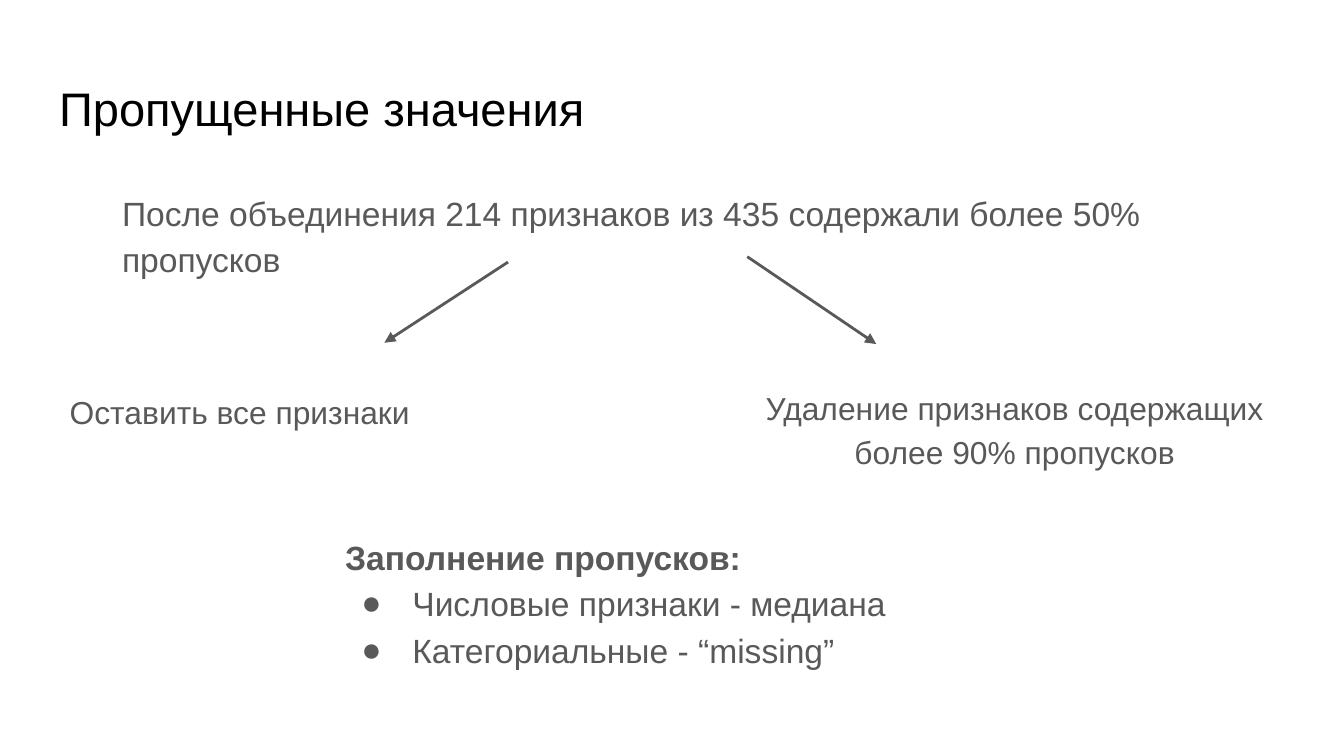
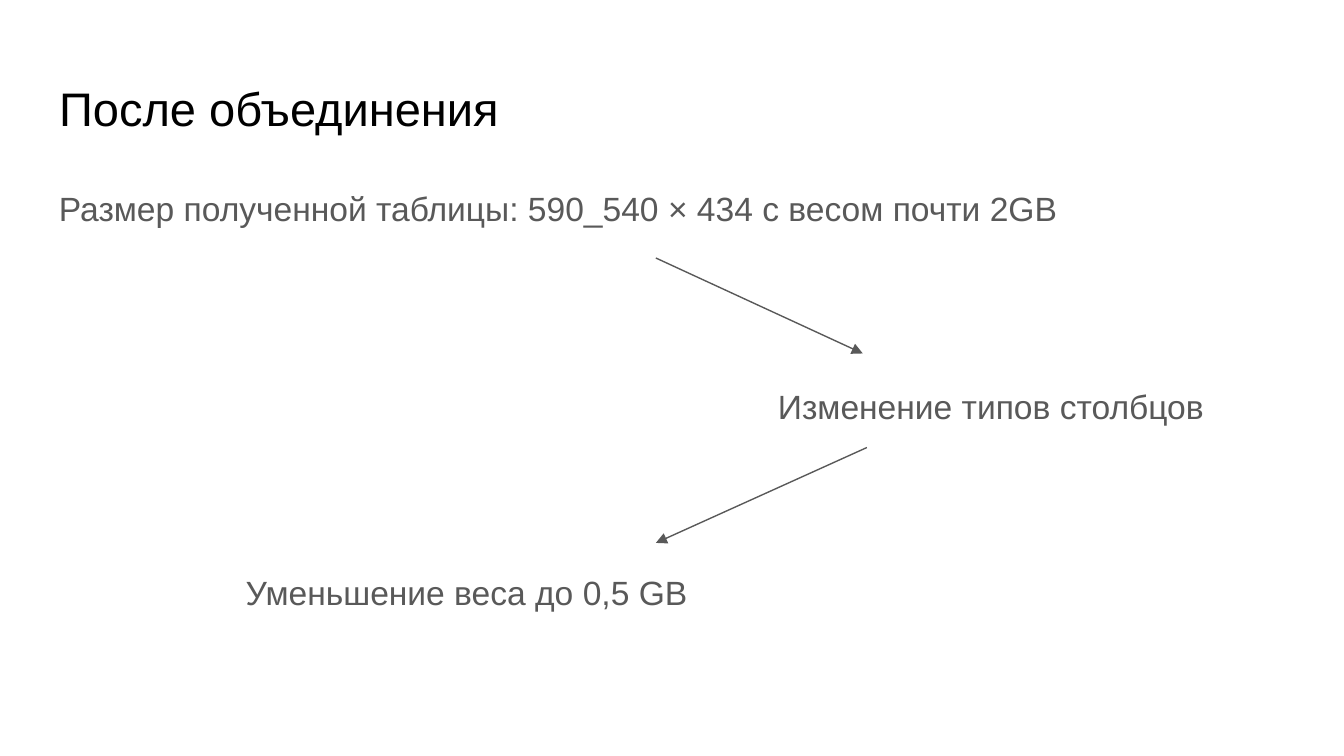
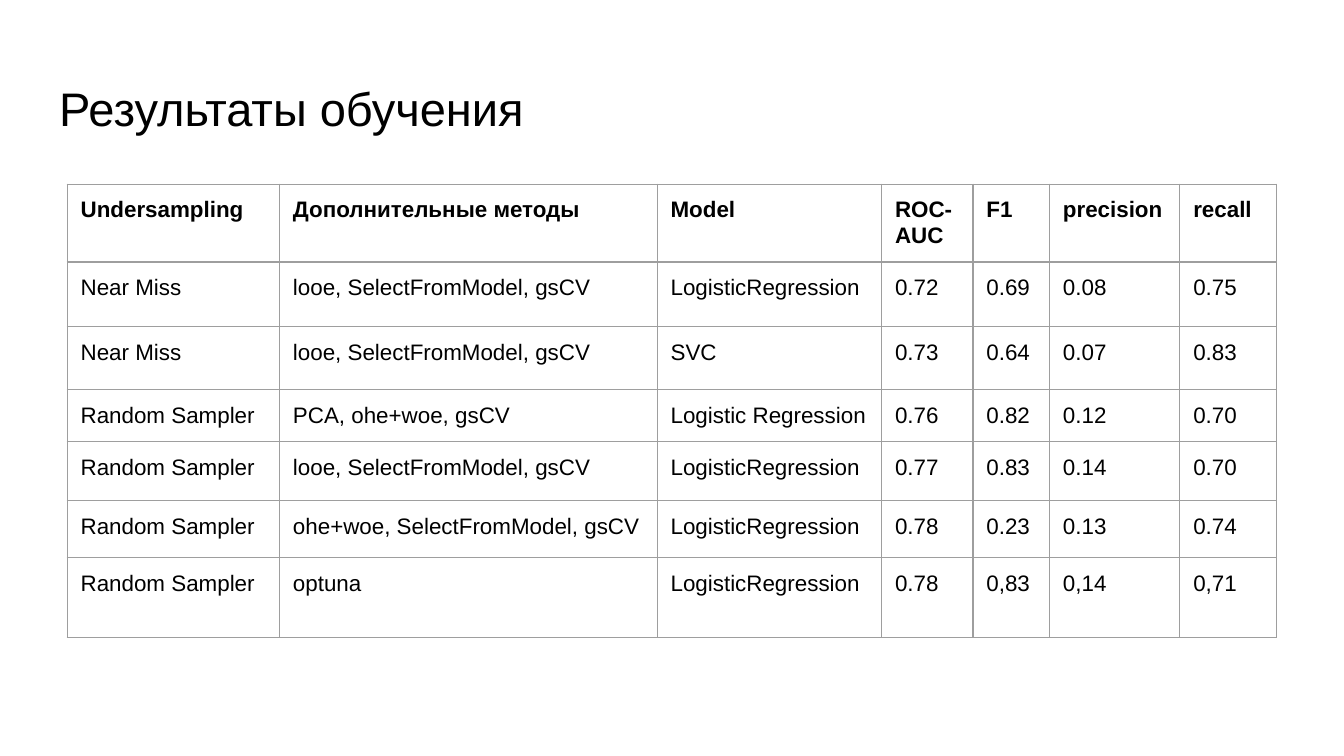
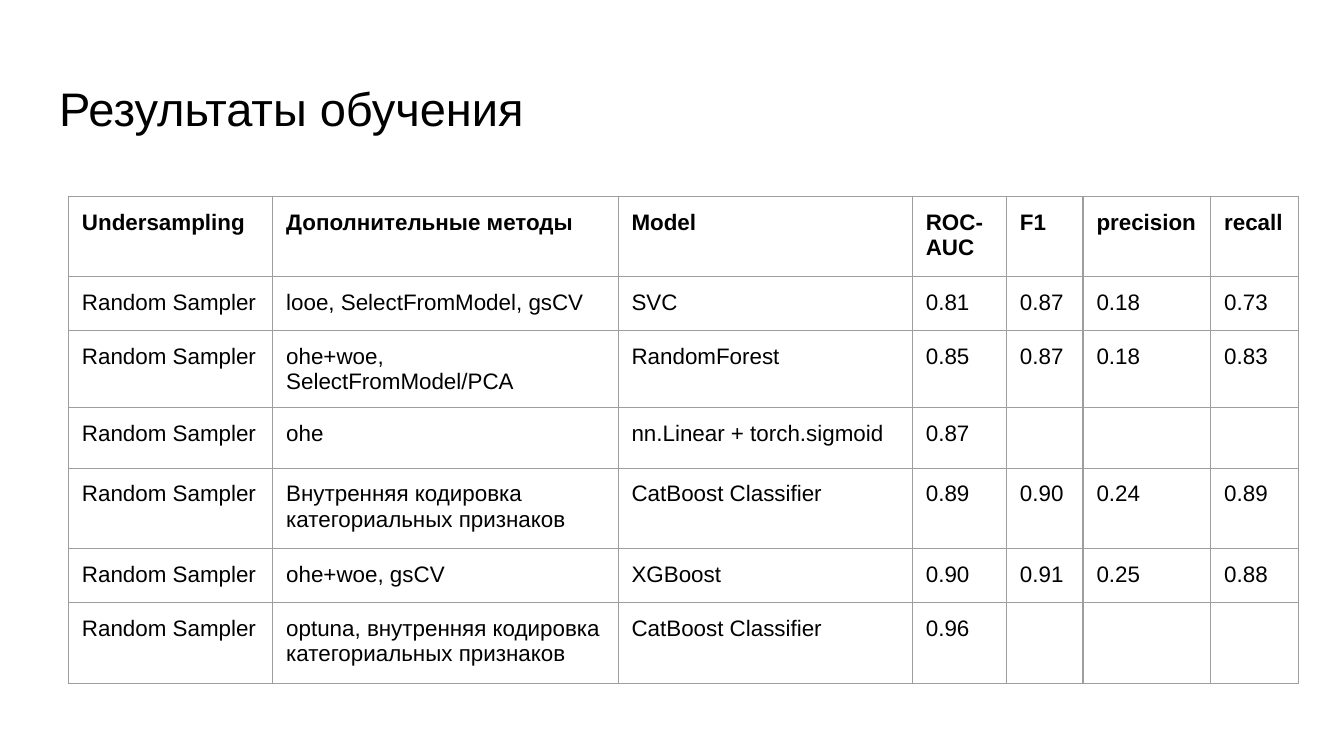
"""Build four slides on missing values, table size and training results."""
from dataclasses import dataclass

from lxml import etree
from pptx import Presentation
from pptx.dml.color import RGBColor
from pptx.enum.shapes import MSO_CONNECTOR
from pptx.enum.text import MSO_ANCHOR, MSO_AUTO_SIZE, PP_ALIGN
from pptx.oxml.ns import qn
from pptx.util import Inches, Pt

STRAIGHT = MSO_CONNECTOR.STRAIGHT
TOP = MSO_ANCHOR.TOP
NO_AUTOFIT = MSO_AUTO_SIZE.NONE
LEFT, CENTER = PP_ALIGN.LEFT, PP_ALIGN.CENTER


@dataclass(frozen=True)
class Theme:
    """Colours, font and sizes shared by all slides."""
    font: str = "Arial"
    title_color: str = "000000"
    text_color: str = "595959"
    border_color: str = "9E9E9E"
    title_size: float = 25.2
    body_size: float = 18
    branch_size: float = 17
    cell_size: float = 12
    border_width: float = 0.75
    line_spacing: float = 1.15
    inset: float = 0.1


THEME = Theme()
SLIDE_WIDTH = Inches(10)
SLIDE_HEIGHT = SLIDE_WIDTH * 9 // 16
TITLE_BOX = (0.34, 0.49, 9.32, 0.63)
BULLET = "●"

DIAGRAMS = [
    {
        "title": "Пропущенные значения",
        "arrow_width": 1.5,
        "notes": [
            ((0.81, 1.29, 8.27, 0.85), THEME.body_size, LEFT,
             ["После объединения 214 признаков из 435 содержали более 50% пропусков"]),
            ((0.42, 2.78, 3.64, 0.49), THEME.branch_size, LEFT,
             ["Оставить все признаки"]),
            ((5.39, 2.75, 4.32, 0.82), THEME.branch_size, CENTER,
             ["Удаление признаков содержащих более 90% пропусков"]),
            ((2.47, 3.85, 6.15, 1.2), THEME.body_size, LEFT,
             ["Заполнение пропусков:", "Числовые признаки - медиана",
              "Категориальные - “missing”"]),
        ],
        "arrows": [(3.78, 1.95, 2.86, 2.55), (5.56, 1.91, 6.52, 2.56)],
    },
    {
        "title": "После объединения",
        "arrow_width": 0.75,
        "notes": [
            ((0.34, 1.25, 8.85, 0.97), THEME.body_size, LEFT,
             ["Размер полученной таблицы: 590_540 × 434 с весом почти 2GB"]),
            ((1.73, 4.11, 4.39, 0.5), THEME.body_size, LEFT,
             ["Уменьшение веса до 0,5 GB"]),
            ((5.69, 2.73, 3.44, 0.5), THEME.body_size, LEFT,
             ["Изменение типов столбцов"]),
        ],
        "arrows": [(4.88, 1.92, 6.42, 2.63), (6.45, 3.33, 4.88, 4.04)],
    },
]

RESULTS_TITLE = "Результаты обучения"
HEADER = ("Undersampling", "Дополнительные методы", "Model", "ROC-AUC",
          "F1", "precision", "recall")
NEAR, RANDOM = "Near Miss", "Random Sampler"
SELECTION = "looe, SelectFromModel, gsCV"
LOGISTIC, CATBOOST = "LogisticRegression", "CatBoost Classifier"

RESULTS = [
    {
        "corner": (0.5, 1.37),
        "widths": (1.58, 2.81, 1.67, 0.68, 0.57, 0.97, 0.72),
        "heights": (0.58, 0.48, 0.47, 0.36, 0.44, 0.42, 0.6),
        "rows": [
            (NEAR, SELECTION, LOGISTIC, "0.72", "0.69", "0.08", "0.75"),
            (NEAR, SELECTION, "SVC", "0.73", "0.64", "0.07", "0.83"),
            (RANDOM, "PCA, ohe+woe, gsCV", "Logistic Regression",
             "0.76", "0.82", "0.12", "0.70"),
            (RANDOM, SELECTION, LOGISTIC, "0.77", "0.83", "0.14", "0.70"),
            (RANDOM, "ohe+woe, SelectFromModel, gsCV", LOGISTIC,
             "0.78", "0.23", "0.13", "0.74"),
            (RANDOM, "optuna", LOGISTIC, "0.78", "0,83", "0,14", "0,71"),
        ],
    },
    {
        "corner": (0.51, 1.46),
        "widths": (1.52, 2.57, 2.19, 0.7, 0.57, 0.95, 0.65),
        "heights": (0.6, 0.4, 0.57, 0.45, 0.6, 0.4, 0.6),
        "rows": [
            (RANDOM, SELECTION, "SVC", "0.81", "0.87", "0.18", "0.73"),
            (RANDOM, "ohe+woe, SelectFromModel/PCA", "RandomForest",
             "0.85", "0.87", "0.18", "0.83"),
            (RANDOM, "ohe", "nn.Linear + torch.sigmoid", "0.87", "", "", ""),
            (RANDOM, "Внутренняя кодировка категориальных признаков", CATBOOST,
             "0.89", "0.90", "0.24", "0.89"),
            (RANDOM, "ohe+woe, gsCV", "XGBoost", "0.90", "0.91", "0.25", "0.88"),
            (RANDOM, "optuna, внутренняя кодировка категориальных признаков",
             CATBOOST, "0.96", "", "", ""),
        ],
    },
]


def inches(values):
    return [Inches(value) for value in values]


def style_paragraph(para, size, color, bold=False):
    para.font.name = THEME.font
    para.font.size = Pt(size)
    para.font.bold = bold
    para.font.color.rgb = RGBColor.from_string(color)


def set_margins(target):
    target.margin_left = target.margin_right = Inches(THEME.inset)
    target.margin_top = target.margin_bottom = Inches(THEME.inset)


def add_color(parent, color):
    etree.SubElement(parent, qn("a:srgbClr"), val=color)


def add_bullet(para):
    properties = para._p.get_or_add_pPr()
    properties.set("marL", str(Inches(0.5)))
    properties.set("indent", str(Inches(-0.38)))
    add_color(etree.SubElement(properties, qn("a:buClr")), THEME.text_color)
    etree.SubElement(properties, qn("a:buFont"), typeface=THEME.font)
    etree.SubElement(properties, qn("a:buChar"), char=BULLET)


def add_titled_slide(deck, text):
    page = deck.slides.add_slide(deck.slide_layouts[5])
    title = page.shapes.title
    title.left, title.top, title.width, title.height = inches(TITLE_BOX)
    frame = title.text_frame
    frame.text = text
    frame.word_wrap = True
    frame.auto_size = NO_AUTOFIT
    frame.vertical_anchor = TOP
    set_margins(frame)
    para = frame.paragraphs[0]
    para.alignment = LEFT
    style_paragraph(para, THEME.title_size, THEME.title_color)
    return page


def add_note(page, place, size, alignment, lines):
    frame = page.shapes.add_textbox(*inches(place)).text_frame
    frame.text = "\n".join(lines)
    frame.word_wrap = True
    set_margins(frame)
    for index, para in enumerate(frame.paragraphs):
        if index:
            add_bullet(para)
        para.alignment = alignment
        para.line_spacing = THEME.line_spacing
        heading = len(lines) > 1 and index == 0
        style_paragraph(para, size, THEME.text_color, heading)


def add_arrow(page, ends, width):
    arrow = page.shapes.add_connector(STRAIGHT, *inches(ends))
    arrow.line.color.rgb = RGBColor.from_string(THEME.text_color)
    arrow.line.width = Pt(width)
    etree.SubElement(arrow.line._get_or_add_ln(), qn("a:tailEnd"), type="triangle")
    etree.SubElement(arrow._element.spPr, qn("a:effectLst"))


def add_borders(cell):
    properties = cell._tc.get_or_add_tcPr()
    for index, side in enumerate(("a:lnL", "a:lnR", "a:lnT", "a:lnB")):
        border = etree.Element(qn(side), w=str(Pt(THEME.border_width)))
        add_color(etree.SubElement(border, qn("a:solidFill")), THEME.border_color)
        properties.insert(index, border)


def add_results(page, corner, widths, heights, rows):
    place = inches((*corner, sum(widths), sum(heights)))
    table = page.shapes.add_table(len(heights), len(widths), *place).table
    table.first_row = table.horz_banding = False
    for column, width in zip(table.columns, widths):
        column.width = Inches(width)
    for row, height in zip(table.rows, heights):
        row.height = Inches(height)
    for row_index, values in enumerate([HEADER, *rows]):
        for column_index, value in enumerate(values):
            cell = table.cell(row_index, column_index)
            cell.text = value
            cell.fill.background()
            set_margins(cell)
            add_borders(cell)
            style_paragraph(cell.text_frame.paragraphs[0], THEME.cell_size,
                            THEME.title_color, row_index == 0)


def main():
    deck = Presentation()
    deck.slide_width, deck.slide_height = SLIDE_WIDTH, SLIDE_HEIGHT
    for diagram in DIAGRAMS:
        page = add_titled_slide(deck, diagram["title"])
        for note in diagram["notes"]:
            add_note(page, *note)
        for ends in diagram["arrows"]:
            add_arrow(page, ends, diagram["arrow_width"])
    for results in RESULTS:
        add_results(add_titled_slide(deck, RESULTS_TITLE), **results)
    deck.save("out.pptx")


if __name__ == "__main__":
    main()
